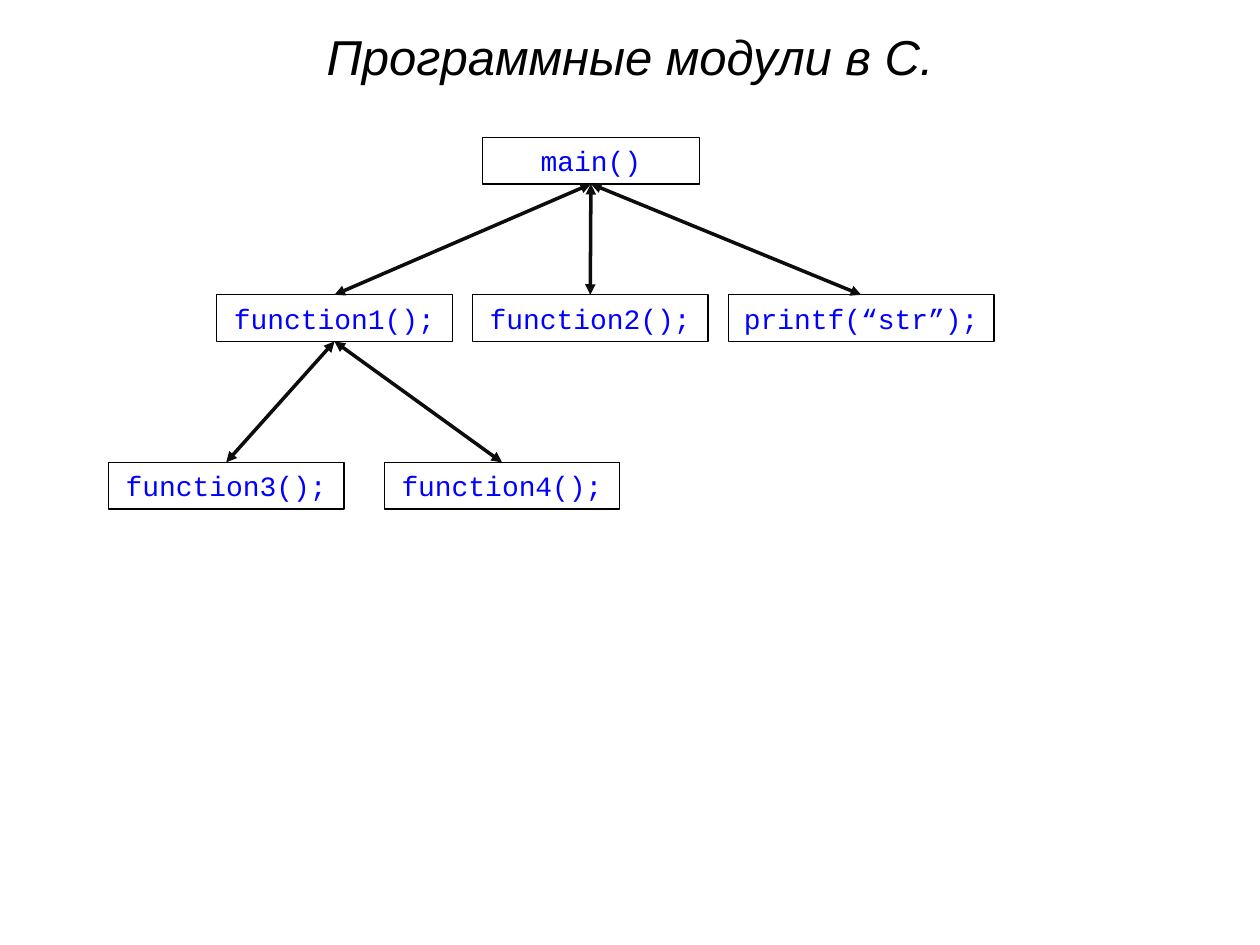
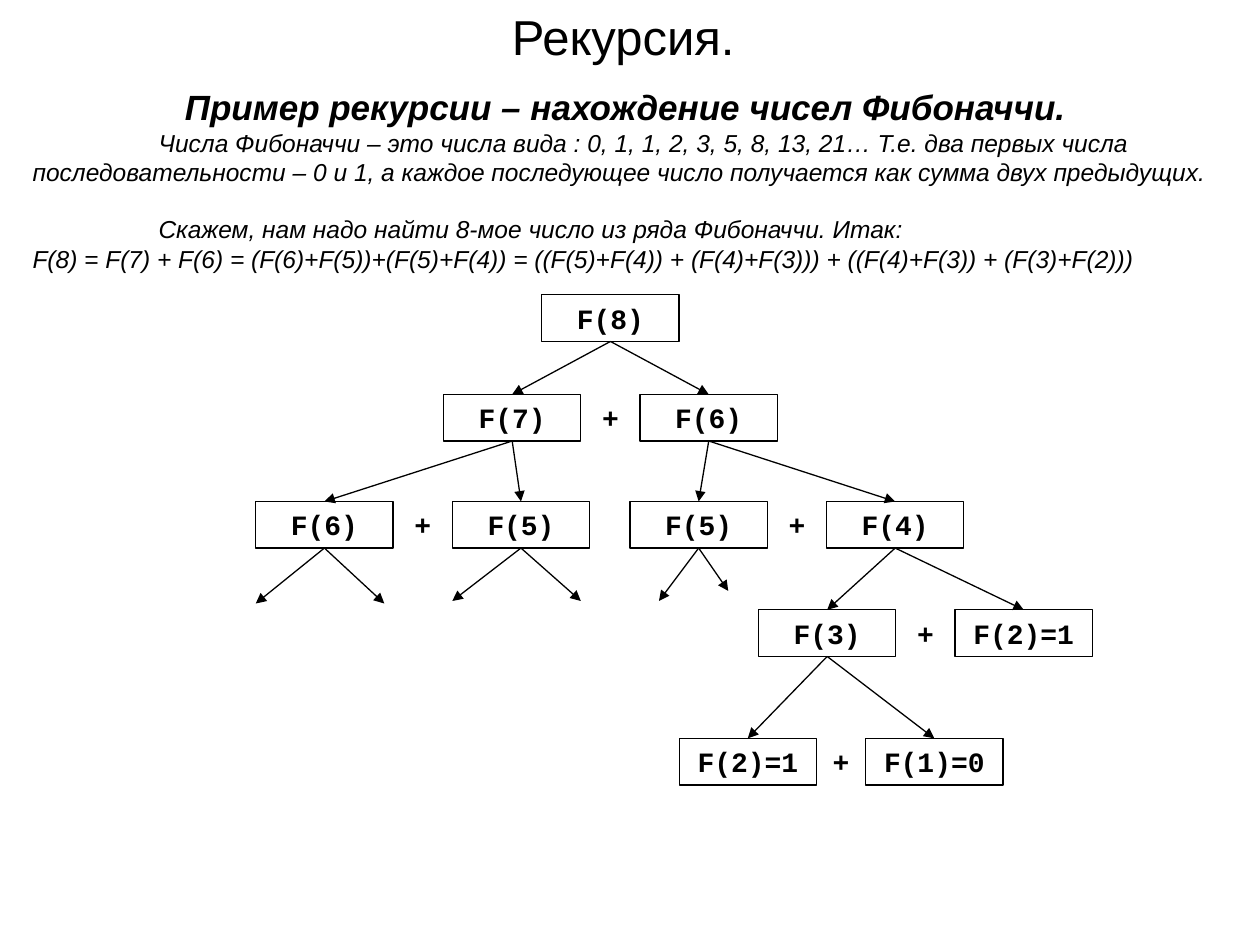
from pptx import Presentation
from pptx.dml.color import RGBColor
from pptx.enum.shapes import MSO_CONNECTOR, MSO_SHAPE
from pptx.enum.text import MSO_ANCHOR, PP_ALIGN
from pptx.oxml.ns import qn
from pptx.util import Inches, Pt
from lxml import etree

STRAIGHT = MSO_CONNECTOR.STRAIGHT
RECTANGLE = MSO_SHAPE.RECTANGLE
MIDDLE = MSO_ANCHOR.MIDDLE
CENTER, LEFT = PP_ALIGN.CENTER, PP_ALIGN.LEFT
TOP_SIDE, BOTTOM_SIDE = 0, 2

COLORS = {"text": "000000", "code": "0000FF", "call": "0D0D0D"}
SANS, MONO = "Arial", "Courier New"
NODE_H = 0.37
TERM_W = 1.09
PLUS_W = 0.47


def color(name):
    return RGBColor.from_string(COLORS[name])


def style(p, text, size, font=SANS, ink="text", bold=False, italic=False,
          align=CENTER):
    p.text = text
    p.alignment = align
    p.font.name = font
    p.font.size = Pt(size)
    p.font.bold = bold
    p.font.italic = italic
    p.font.color.rgb = color(ink)


def add_text(s, left, top, width, height):
    tf = s.shapes.add_textbox(Inches(left), Inches(top), Inches(width),
                              Inches(height)).text_frame
    tf.word_wrap = True
    return tf


def add_title(s, text, top, italic=False):
    tf = add_text(s, 0, top, 10, 0.55)
    style(tf.paragraphs[0], text, 28, italic=italic)


def add_node(s, text, left, top, width, ink="text", bold=False):
    sp = s.shapes.add_shape(RECTANGLE, Inches(left), Inches(top),
                            Inches(width), Inches(NODE_H))
    sp.shadow.inherit = False
    sp.fill.background()
    sp.line.color.rgb = color("text")
    sp.line.width = Pt(0.75)
    tf = sp.text_frame
    tf.vertical_anchor = MIDDLE
    style(tf.paragraphs[0], text, 16, MONO, ink, bold)
    return sp


def add_arrow(s, parent, child=None, tip=(0, 0), ink="text", width=0.75,
              both_ways=False):
    """Arrow from the bottom of parent to the top of child, or to a free tip."""
    x, y = (Inches(v) for v in tip)
    line = s.shapes.add_connector(STRAIGHT, x, y, x, y)
    line.begin_connect(parent, BOTTOM_SIDE)
    if child is not None:
        line.end_connect(child, TOP_SIDE)
    line.line.color.rgb = color(ink)
    line.line.width = Pt(width)
    ln = line.line._get_or_add_ln()
    for end in ("a:headEnd", "a:tailEnd") if both_ways else ("a:tailEnd",):
        etree.SubElement(ln, qn(end), type="triangle")
    etree.SubElement(line._element.spPr, qn("a:effectLst"))


def add_call_tree(s, left, top):
    def node(text, x, y, width=1.87):
        return add_node(s, text, left + x, top + y, width, "code")

    main_node = node("main()", 2.97, 0, 1.72)
    function1 = node("function1();", 0.86, 1.25)
    function2 = node("function2();", 2.89, 1.25)
    printf = node("printf(“str”);", 4.92, 1.25, 2.11)
    function3 = node("function3();", 0, 2.58)
    function4 = node("function4();", 2.19, 2.58)

    calls = [(main_node, (function1, function2, printf)),
             (function1, (function3, function4))]
    for caller, callees in calls:
        for callee in callees:
            add_arrow(s, caller, callee, ink="call", width=2, both_ways=True)


def add_explanation(s, left, top, width, height):
    tf = add_text(s, left, top, width, height)
    style(tf.paragraphs[0], "Пример рекурсии – нахождение чисел Фибоначчи.",
          20, bold=True, italic=True)
    # Text, first-line indent in inches, space before in points
    body = [
        ("Числа Фибоначчи – это числа вида : 0, 1, 1, 2, 3, 5, 8, 13, 21… "
         "Т.е. два первых числа последовательности – 0 и 1, а каждое "
         "последующее число получается как сумма двух предыдущих.", 1, 0),
        ("Скажем, нам надо найти 8-мое число из ряда Фибоначчи. Итак:", 1, 16),
        ("F(8) = F(7) + F(6) = (F(6)+F(5))+(F(5)+F(4)) = ((F(5)+F(4)) + "
         "(F(4)+F(3))) + ((F(4)+F(3)) + (F(3)+F(2)))", 0, 0),
    ]
    for text, indent, before in body:
        p = tf.add_paragraph()
        p._p.get_or_add_pPr().set("indent", str(Inches(indent)))
        p.space_before = Pt(before)
        style(p, text, 14, italic=True, align=LEFT)


def add_fibonacci_tree(s, left, top):
    def term(text, x, y):
        return add_node(s, text, left + x, top + y, TERM_W, bold=True)

    def add_sum(parent, first, second, x, y, plus_w=PLUS_W):
        """Two terms joined by a plus sign, with arrows from their parent."""
        terms = (term(first, x, y), term(second, x + TERM_W + plus_w, y))
        tf = add_text(s, left + x + TERM_W, top + y, plus_w, NODE_H)
        tf.vertical_anchor = MIDDLE
        style(tf.paragraphs[0], "+", 16, MONO, bold=True)
        for child in terms:
            add_arrow(s, parent, child)
        return terms

    f8 = term("F(8)", 2.27, 0)
    f7, f6 = add_sum(f8, "F(7)", "F(6)", 1.49, 0.79)
    left_f6, left_f5 = add_sum(f7, "F(6)", "F(5)", 0, 1.64)
    right_f5, f4 = add_sum(f6, "F(5)", "F(4)", 2.97, 1.64)
    f3, _ = add_sum(f4, "F(3)", "F(2)=1", 3.99, 2.5)
    add_sum(f3, "F(2)=1", "F(1)=0", 3.36, 3.52, 0.39)

    unfinished = [(left_f6, (0, 2.45), (1.02, 2.45)),
                  (left_f5, (1.56, 2.43), (2.58, 2.43)),
                  (right_f5, (3.2, 2.43), (3.75, 2.35))]
    for parent, *tips in unfinished:
        for x, y in tips:
            add_arrow(s, parent, tip=(left + x, top + y))


def build_modules_slide(s):
    add_title(s, "Программные модули в С.", 0.16, italic=True)
    add_call_tree(s, 0.86, 1.09)


def build_recursion_slide(s):
    add_title(s, "Рекурсия. ", 0)
    add_explanation(s, 0.16, 0.63, 9.61, 1.8)
    add_fibonacci_tree(s, 2.03, 2.34)


def main():
    prs = Presentation()
    prs.slide_width, prs.slide_height = Inches(10), Inches(7.5)
    blank = prs.slide_layouts[6]
    for build in (build_modules_slide, build_recursion_slide):
        build(prs.slides.add_slide(blank))
    prs.save("out.pptx")


if __name__ == "__main__":
    main()
